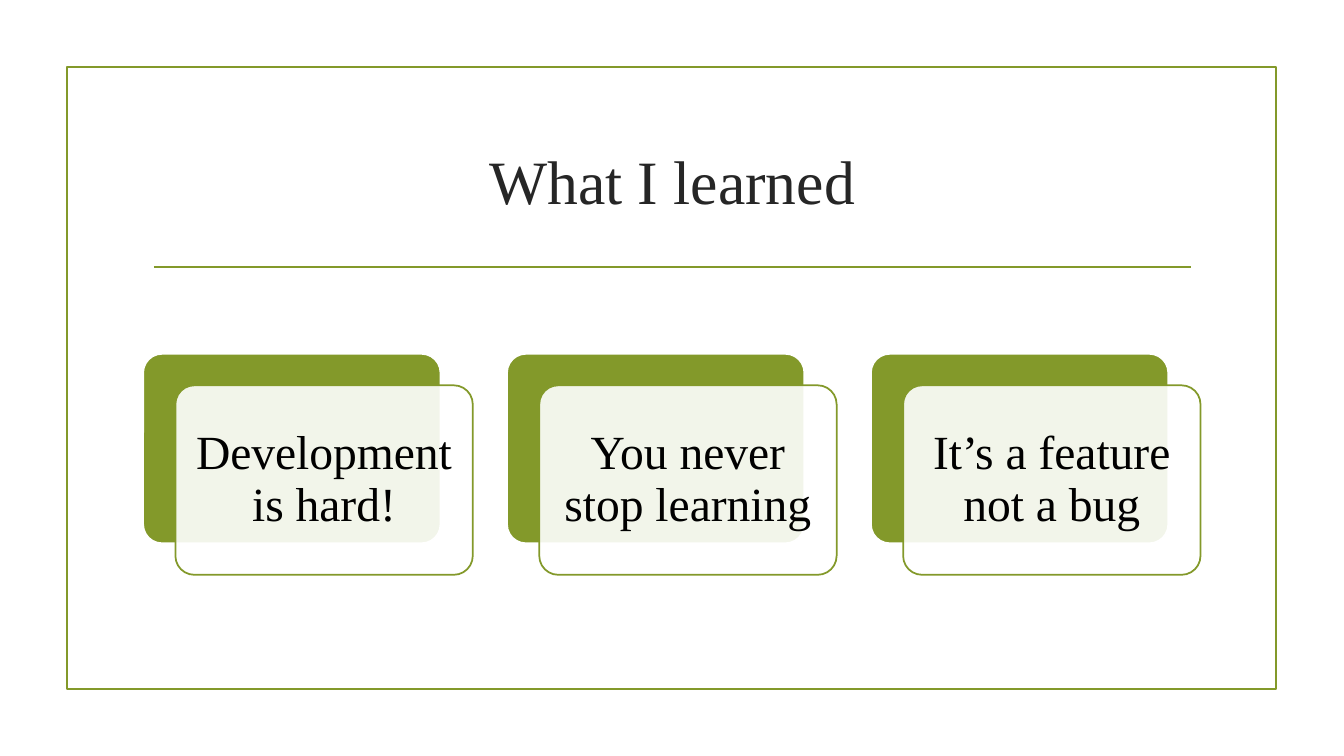
from lxml import etree
from pptx import Presentation
from pptx.dml.color import RGBColor
from pptx.enum import shapes, text
from pptx.oxml.ns import qn
from pptx.util import Pt

COLORS = {"olive": "83992A", "white": "FFFFFF", "title": "262626", "black": "000000"}
FONT = "Times New Roman"
LINE_WIDTH = 1.25
LESSONS = ["Development is hard!", "You never stop learning", "It’s a feature not a bug"]
CARD_LEFT, CARD_TOP, CARD_WIDTH, CARD_HEIGHT = 102.24, 252.72, 212.4, 135.36
CARD_PITCH = 259.92
FRONT_SHIFT_X, FRONT_SHIFT_Y = 23.04, 22.5


def rgb(name):
    return RGBColor.from_string(COLORS[name])


def style_line(line, color):
    line.color.rgb = rgb(color)
    line.width = Pt(LINE_WIDTH)


def add_panel(slide, kind, box, line, fill=None):
    panel = slide.shapes.add_shape(kind, *map(Pt, box))
    panel.shadow.inherit = False
    style_line(panel.line, line)
    if fill:
        panel.fill.solid()
        panel.fill.fore_color.rgb = rgb(fill)
    else:
        panel.fill.background()
    return panel


def set_opacity(panel, percent):
    color = panel._element.spPr.find(qn("a:solidFill"))[0]
    etree.SubElement(color, qn("a:alpha")).set("val", str(percent * 1000))


def write_centered(holder, wording, size, color, inset, spacing=1.0):
    frame = holder.text_frame
    frame_format = {
        "word_wrap": True,
        "vertical_anchor": text.MSO_ANCHOR.MIDDLE,
        "margin_left": Pt(inset),
        "margin_right": Pt(inset),
        "margin_top": Pt(inset),
        "margin_bottom": Pt(inset),
    }
    for name, value in frame_format.items():
        setattr(frame, name, value)
    paragraph = frame.paragraphs[0]
    paragraph.alignment = text.PP_ALIGN.CENTER
    paragraph.line_spacing = spacing
    run = paragraph.add_run()
    run.text = wording
    for name, value in {"name": FONT, "size": Pt(size)}.items():
        setattr(run.font, name, value)
    run.font.color.rgb = rgb(color)


def add_divider(slide, left, right, y):
    divider = slide.shapes.add_connector(
        shapes.MSO_CONNECTOR.STRAIGHT, Pt(left), Pt(y), Pt(right), Pt(y))
    style_line(divider.line, "olive")
    etree.SubElement(divider._element.spPr, qn("a:effectLst"))


def add_lesson(slide, left, wording):
    """Add an olive card with a translucent captioned card shifted over it."""
    rounded = shapes.MSO_SHAPE.ROUNDED_RECTANGLE
    back = add_panel(slide, rounded, (left, CARD_TOP, CARD_WIDTH, CARD_HEIGHT),
                     "white", "olive")
    front = add_panel(slide, rounded,
                      (left + FRONT_SHIFT_X, CARD_TOP + FRONT_SHIFT_Y,
                       CARD_WIDTH, CARD_HEIGHT), "olive", "white")
    for card in (back, front):
        card.adjustments[0] = 0.1
    set_opacity(front, 90)
    write_centered(front, wording, 34, "black", inset=8, spacing=0.9)


def main():
    deck = Presentation()
    deck.slide_width, deck.slide_height = Pt(960), Pt(540)
    slide = deck.slides.add_slide(deck.slide_layouts[6])

    add_panel(slide, shapes.MSO_SHAPE.RECTANGLE, (47.7, 48, 864, 444), "olive")
    add_divider(slide, 110, 850.5, 190.8)
    title = slide.shapes.add_textbox(Pt(102.24), Pt(77), Pt(756), Pt(103))
    write_centered(title, "What I learned", 44, "title", inset=3.6)
    for index, lesson in enumerate(LESSONS):
        add_lesson(slide, CARD_LEFT + index * CARD_PITCH, lesson)

    deck.save("out.pptx")


if __name__ == "__main__":
    main()
